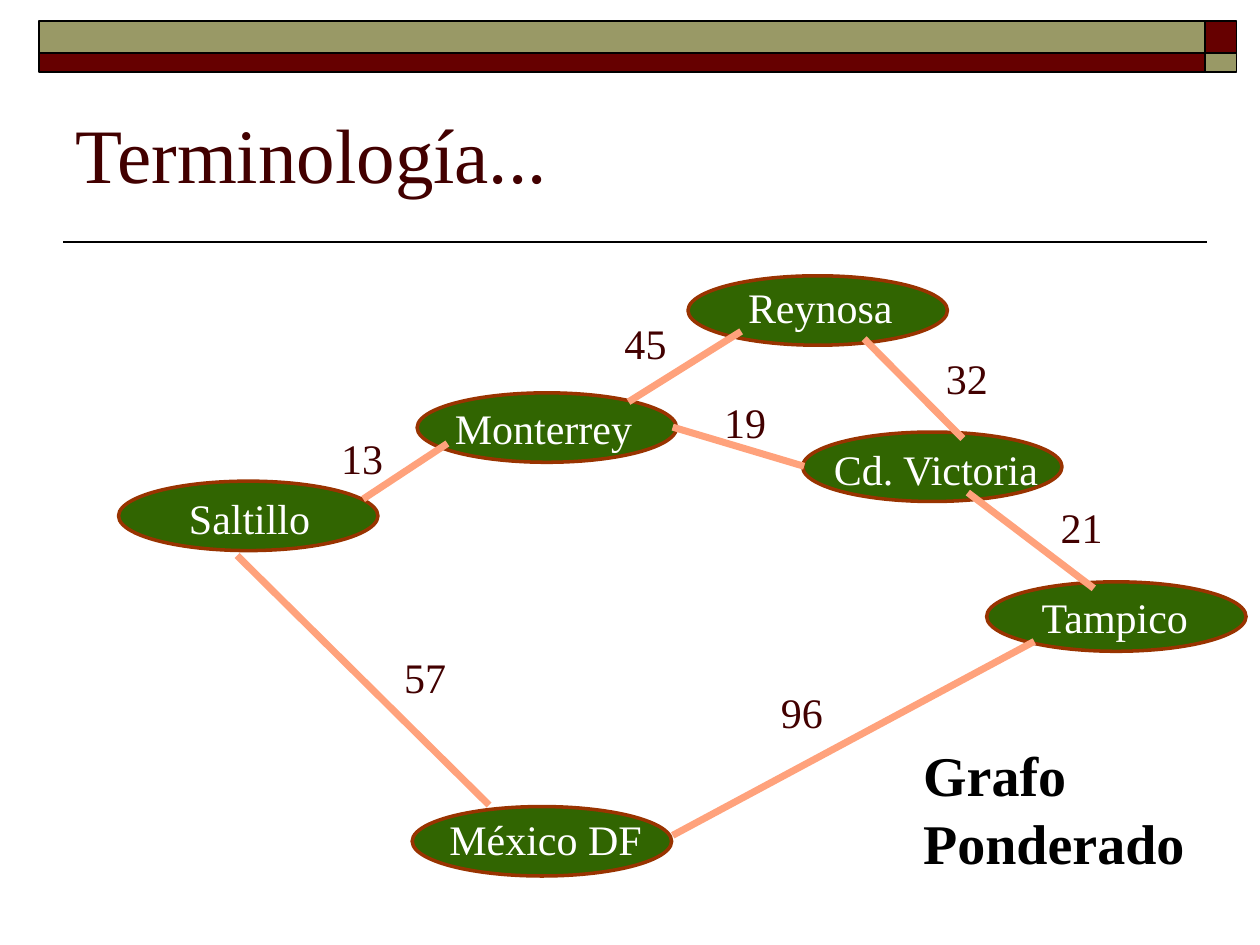
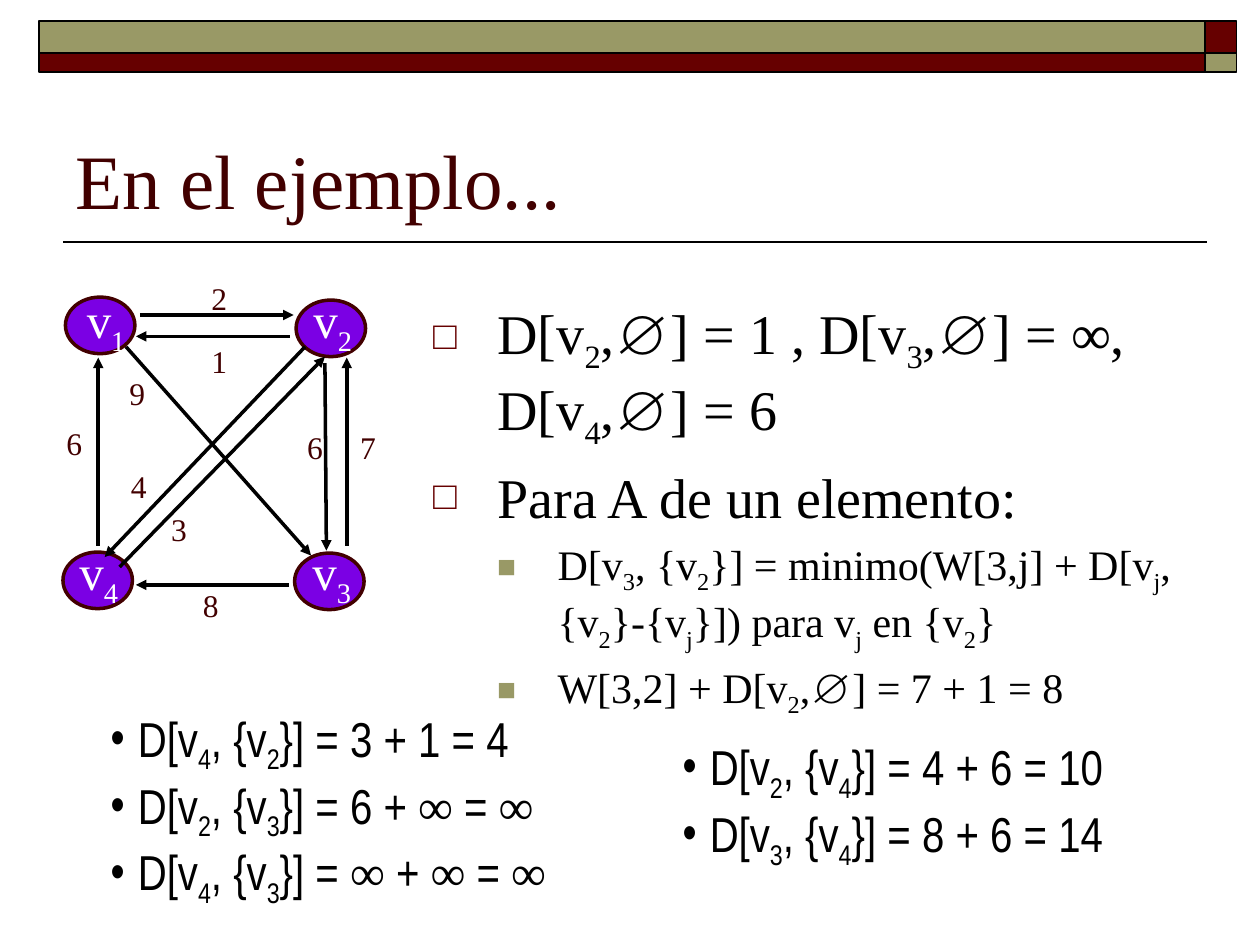
from itertools import groupby

from lxml.etree import SubElement
from pptx import Presentation
from pptx.dml.color import RGBColor
from pptx.enum.shapes import MSO_CONNECTOR as CONN, MSO_SHAPE as SHAPE
from pptx.enum.text import MSO_ANCHOR as ANCHOR, MSO_AUTO_SIZE as AUTO, PP_ALIGN as ALIGN
from pptx.oxml.ns import qn
from pptx.util import Cm, Pt

SERIF, NARROW = "Times New Roman", "Arial Narrow"
MAROON, OLIVE, DARK = "660000", "999966", "420000"
BLACK, WHITE = "000000", "FFFFFF"
GREEN, RUST, SALMON, PURPLE = "316501", "993300", "FFA27C", "7B00E4"

CITIES = [
    ("Monterrey", (8.41, 7.92), (8.92, 7.98), 4.3),
    ("Saltillo", (2.39, 9.7), (3.56, 9.8), 3.2),
    ("México DF", (8.31, 16.26), (8.81, 16.28), 4.6),
    ("Reynosa", (13.87, 5.56), (14.83, 5.56), 3.6),
    ("Cd. Victoria", (16.18, 8.71), (16.56, 8.81), 4.9),
    ("Tampico", (19.89, 11.73), (20.75, 11.79), 3.7),
]
ROADS = [
    ("13", (7.32, 10.06), (9.02, 8.94), (6.63, 8.59)),
    ("96", (13.56, 16.84), (20.85, 12.93), (15.49, 13.72)),
    ("57", (4.78, 11.2), (9.86, 16.23), (7.9, 13)),
    ("45", (12.67, 8.1), (14.94, 6.68), (12.34, 6.27)),
    ("32", (19.41, 8.84), (17.42, 6.83), (18.82, 6.99)),
    ("21", (22.05, 11.86), (19.51, 9.93), (21.13, 9.98)),
    ("19", (16.21, 9.4), (13.56, 8.61), (14.35, 7.87)),
]
VERTICES = [
    ("v_1", (1.32, 5.99), (1.5, 5.72)),
    ("v_2", (5.97, 6.05), (6.07, 5.72)),
    ("v_4", (1.27, 11.13), (1.35, 10.8)),
    ("v_3", (5.94, 11.15), (6.05, 10.8)),
]
ARCS = [
    ("2", (2.82, 6.35), (5.92, 6.35), (4.01, 5.51)),
    ("8", (5.82, 11.79), (2.74, 11.79), (3.84, 11.68)),
    ("6", (6.55, 7.32), (6.58, 11.1), (5.94, 8.51)),
    ("6", (1.98, 11), (1.98, 7.21), (1.09, 8.43)),
    ("4", (6.15, 6.99), (2.11, 11.23), (2.39, 9.3)),
    ("9", (2.54, 6.99), (6.27, 11.2), (2.36, 7.42)),
    ("3", (2.41, 11.43), (6.55, 7.19), (3.2, 10.16)),
    ("1", (5.84, 6.78), (2.74, 6.78), (4.01, 6.78)),
    ("7", (6.99, 11), (6.99, 7.21), (7.01, 8.51)),
]
TOPIC = dict(size=32, char="□", color=MAROON, scale=70, margin=1.3, hang=1.3)
DETAIL = dict(size=24, char="■", color=OLIVE, scale=75, margin=2.51, hang=1.22)
BODY = [
    ("D[v_2,∅] = 1 , D[v_3,∅] = ∞, D[v_4,∅] = 6", TOPIC),
    ("Para A de un elemento:", TOPIC),
    ("D[v_3, {v_2}] = minimo(W[3,j] + D[v_j,{v_2}-{v_j}]) para v_j en {v_2}", DETAIL),
    ("W[3,2] + D[v_2,∅] = 7 + 1 = 8", DETAIL),
]
RESULTS = [
    ((1.98, 14.15, 9.9, 3.81),
     ["D[v_4, {v_2}] = 3 + 1 = 4", "D[v_2, {v_3}] = 6 + ∞ = ∞", "D[v_4, {v_3}] = ∞ + ∞ = ∞"]),
    ((13.51, 14.73, 9.6, 2.62),
     ["D[v_2, {v_4}] = 4 + 6 = 10", "D[v_3, {v_4}] = 8 + 6 = 14"]),
]


def rgb(color):
    return RGBColor.from_string(color)


class Deck:
    """Holds the deck style and the slide being drawn."""

    def __init__(self):
        self.prs = Presentation()
        self.prs.slide_width, self.prs.slide_height = Cm(25.4), Cm(19.05)
        self.s = None

    def slide(self, title, anchor):
        self.s = self.prs.slides.add_slide(self.prs.slide_layouts[5])
        self.line((24.33, 4.88), (1.27, 4.88), BLACK, 1)
        for top, height, wide, corner in ((0.43, 0.64, OLIVE, MAROON), (1.07, 0.38, MAROON, OLIVE)):
            self.shape(SHAPE.RECTANGLE, (24.29, top, 0.64, height), corner, BLACK, 1)
            self.shape(SHAPE.RECTANGLE, (0.79, top, 23.5, height), wide, BLACK, 1)
        sp = self.s.shapes.title
        sp.left, sp.top, sp.width, sp.height = map(Cm, (1.27, 1.48, 22.86, 3.18))
        tf = sp.text_frame
        tf.auto_size, tf.vertical_anchor, tf.word_wrap = AUTO.NONE, anchor, True
        p = tf.paragraphs[0]
        p.alignment = ALIGN.LEFT
        self.runs(p, title, 44, DARK)

    def shape(self, kind, box, fill, outline, width):
        sp = self.s.shapes.add_shape(kind, *map(Cm, box))
        sp.shadow.inherit = False
        sp.fill.solid()
        sp.fill.fore_color.rgb = rgb(fill)
        sp.line.color.rgb = rgb(outline)
        sp.line.width = Pt(width)

    def line(self, start, end, color, width, arrow=False):
        cn = self.s.shapes.add_connector(CONN.STRAIGHT, *map(Cm, start + end))
        cn.line.color.rgb = rgb(color)
        cn.line.width = Pt(width)
        props = cn.element.spPr
        if arrow:
            SubElement(props.find(qn("a:ln")), qn("a:tailEnd"), type="triangle")
        SubElement(props, qn("a:effectLst"))

    def run(self, p, text, size, color, font, bold, sub=False):
        r = p.add_run()
        r.text = text
        f = r.font
        f.size, f.name, f.bold = Pt(size), font, bold
        f.color.rgb = rgb(color)
        if sub:
            r._r.get_or_add_rPr().set("baseline", "-25000")

    def runs(self, p, text, size, color, font=SERIF, bold=False):
        for i, part in enumerate(text.split("_")):
            if i:
                self.run(p, part[0], size, color, font, bold, sub=True)
                part = part[1:]
            for swap, chars in groupby(part, lambda c: c == "∞" and font != SERIF):
                self.run(p, "".join(chars), size, color, SERIF if swap else font, bold)

    def frame(self, box, wrap=False):
        tf = self.s.shapes.add_textbox(*map(Cm, box)).text_frame
        tf.word_wrap = wrap
        tf.auto_size = AUTO.NONE if wrap else AUTO.SHAPE_TO_FIT_TEXT
        return tf

    def paragraphs(self, tf, texts):
        for i, text in enumerate(texts):
            yield tf.add_paragraph() if i else tf.paragraphs[0], text

    def label(self, box, texts, size, color, bold=False):
        for p, text in self.paragraphs(self.frame(box), texts):
            self.runs(p, text, size, color, bold=bold)

    def bullet(self, p, char, margin, hang, font, color=BLACK, scale=100):
        props = p._p.get_or_add_pPr()
        props.set("marL", str(Cm(margin)))
        props.set("indent", str(-Cm(hang)))
        SubElement(SubElement(props, qn("a:buClr")), qn("a:srgbClr"), val=color)
        SubElement(props, qn("a:buSzPct"), val=str(scale * 1000))
        SubElement(props, qn("a:buFont"), typeface=font)
        SubElement(props, qn("a:buChar"), char=char)

    def outline(self, box, items):
        for p, (text, level) in self.paragraphs(self.frame(box, wrap=True), items):
            self.bullet(p, level["char"], level["margin"], level["hang"], SERIF, level["color"], level["scale"])
            if text != items[0][0]:
                p.space_before = Pt(level["size"] * 0.2)
            self.runs(p, text, level["size"], BLACK)

    def results(self, box, texts):
        for p, text in self.paragraphs(self.frame(box), texts):
            self.bullet(p, "•", 0.55, 0.55, NARROW)
            self.runs(p, text, 28, BLACK, NARROW)


def weighted_graph(deck):
    deck.slide("Terminología...", ANCHOR.MIDDLE)
    for name, node, caption, width in CITIES:
        deck.shape(SHAPE.OVAL, (*node, 5.23, 1.4), GREEN, RUST, 2)
        deck.label((*caption, width, 1.27), [name], 24, WHITE)
    for weight, start, end, caption in ROADS:
        deck.line(start, end, SALMON, 4)
        deck.label((*caption, 1.35, 1.27), [weight], 24, DARK)
    deck.label((18.36, 14.81, 6.2, 2.97), ["Grafo", "Ponderado"], 32, BLACK, bold=True)


def worked_example(deck):
    deck.slide("En el ejemplo...", ANCHOR.BOTTOM)
    deck.outline((8.48, 5.89, 15.47, 7.9), BODY)
    for name, node, caption in VERTICES:
        deck.shape(SHAPE.OVAL, (*node, 1.4, 1.14), PURPLE, DARK, 2)
        deck.label((*caption, 1.32, 1.42), [name], 28, WHITE)
    for weight, start, end, caption in ARCS:
        deck.line(start, end, BLACK, 2, arrow=True)
        deck.label((*caption, 0.81, 1.02), [weight], 18, DARK)
    for box, texts in RESULTS:
        deck.results(box, texts)


def main():
    deck = Deck()
    weighted_graph(deck)
    worked_example(deck)
    deck.prs.save("out.pptx")


if __name__ == "__main__":
    main()
